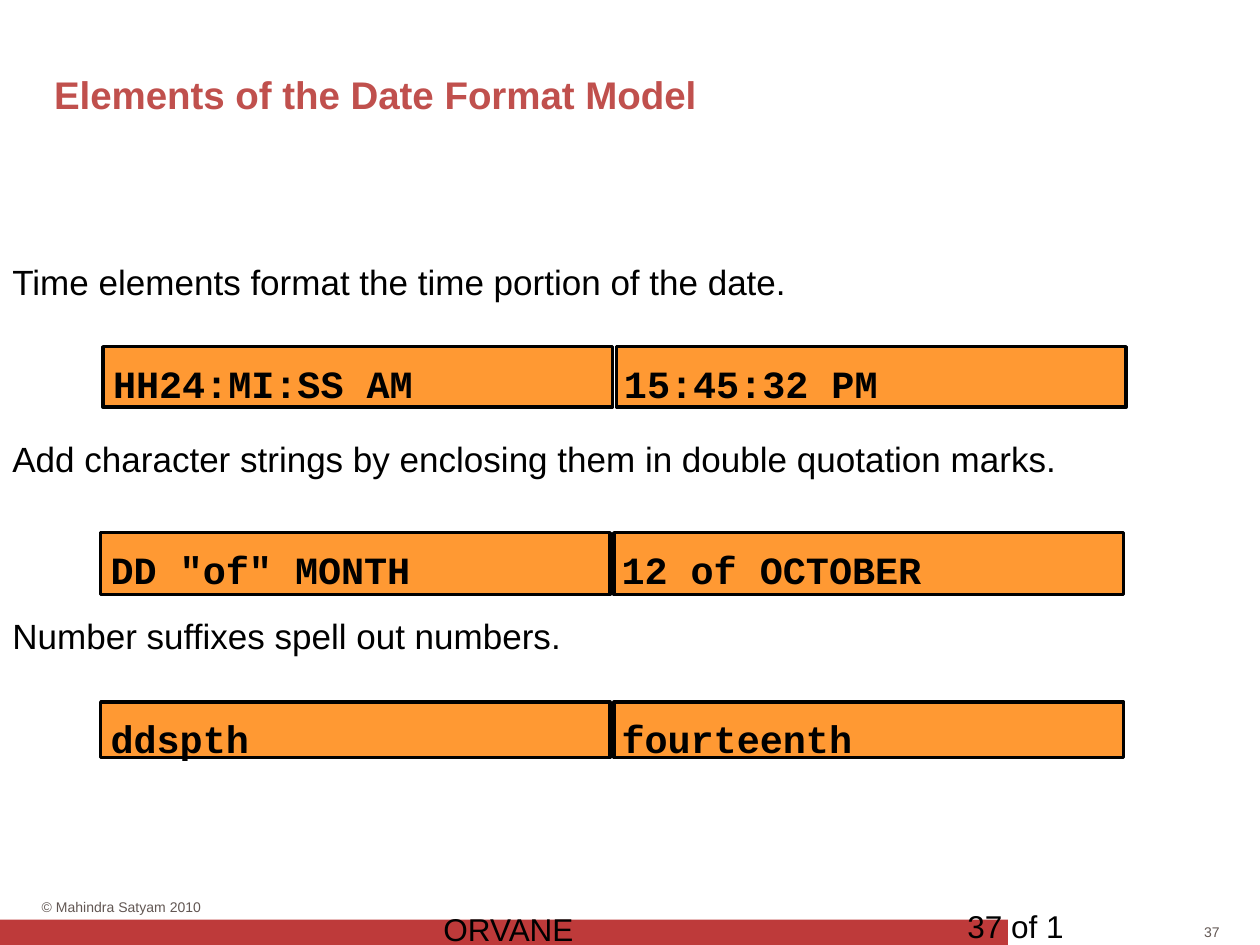
from pptx import Presentation
from pptx.dml.color import RGBColor
from pptx.enum.shapes import MSO_SHAPE
from pptx.enum.text import MSO_ANCHOR, PP_ALIGN
from pptx.util import Cm, Pt

RECT = MSO_SHAPE.RECTANGLE
TOP, MIDDLE = MSO_ANCHOR.TOP, MSO_ANCHOR.MIDDLE
LEFT, RIGHT = PP_ALIGN.LEFT, PP_ALIGN.RIGHT
COLORS = {"black": "000000", "title": "C0504D", "band": "BE3A3A",
          "grey": "625753", "orange": "FF9933"}

prs = Presentation()
prs.slide_width, prs.slide_height = Cm(25.4), Cm(19.05)
s = prs.slides.add_slide(prs.slide_layouts[5])


def add_text(text, left, top, width, height, sp=None, size=18, font="Arial",
             color="black", bold=False, align=LEFT, anchor=TOP, inset=True,
             wrap=True, spacing=None, gap=0):
    """Write one paragraph per line into sp, or into a new text box."""
    box = [Cm(v) for v in (left, top, width, height)]
    sp = sp or s.shapes.add_textbox(*box)
    sp.left, sp.top, sp.width, sp.height = box
    tf = sp.text_frame
    tf.word_wrap = wrap
    tf.vertical_anchor = anchor
    tf.margin_left = tf.margin_right = Cm(0.25 if inset else 0)
    tf.margin_top = tf.margin_bottom = Cm(0.13 if inset else 0)
    for i, line in enumerate(text.split("\n")):
        p = tf.paragraphs[0] if i == 0 else tf.add_paragraph()
        p.alignment = align
        p.line_spacing = spacing
        if i:
            p.space_before = Pt(gap)
        r = p.add_run()
        r.text = line
        r.font.size, r.font.name, r.font.bold = Pt(size), font, bold
        r.font.color.rgb = RGBColor.from_string(COLORS[color])


def add_rect(left, top, width, height, fill, line=None):
    sp = s.shapes.add_shape(RECT, Cm(left), Cm(top), Cm(width), Cm(height))
    sp.shadow.inherit = False
    sp.fill.solid()
    sp.fill.fore_color.rgb = RGBColor.from_string(COLORS[fill])
    if line:
        sp.line.color.rgb = RGBColor.from_string(COLORS[line])
        sp.line.width = Pt(2)
    else:
        sp.line.fill.background()


# Footer
add_rect(0, 18.54, 20.32, 0.51, "band")
add_text("37", 24.23, 18.62, 0.36, 0.33, size=8, color="grey", align=RIGHT,
         anchor=MIDDLE, inset=False, wrap=False)
add_text("© Mahindra Satyam 2010", 0.84, 18.11, 3.91, 0.33, size=8,
         color="grey", inset=False)
add_text("ORVANE", 8.69, 18.21, 8.05, 0.69)
add_text("37 of 1", 19.25, 18.16, 5.92, 0.89)

# Title and statements
add_text("Elements of the Date Format Model", 0.84, 1.3, 23.72, 0.94,
         sp=s.shapes.title, size=22, color="title", bold=True)
statements = [
    "Time elements format the time portion of the date.",
    "Add character strings by enclosing them in double quotation marks.",
    "Number suffixes spell out numbers.",
]
add_text("\n".join(statements), 0, 5.08, 24.56, 8.28, size=20,
         spacing=1.05, gap=76)

# Format models on the left, their results on the right
examples = [
    (2.08, 6.99, 1.22, "HH24:MI:SS AM", "15:45:32 PM"),
    (2.03, 10.74, 1.25, 'DD "of" MONTH', "12 of OCTOBER"),
    (2.03, 14.15, 1.12, "ddspth", "fourteenth"),
]
for left, top, height, *texts in examples:
    for col in range(2):
        add_rect(left + col * 10.35, top, 10.27, height, "orange", "black")
    for col, text in enumerate(texts):
        add_text(text, left - 0.05 + col * 10.3, top + 0.13, 10.27, 1.19,
                 size=22, font="Courier New", bold=True)

prs.save("out.pptx")
